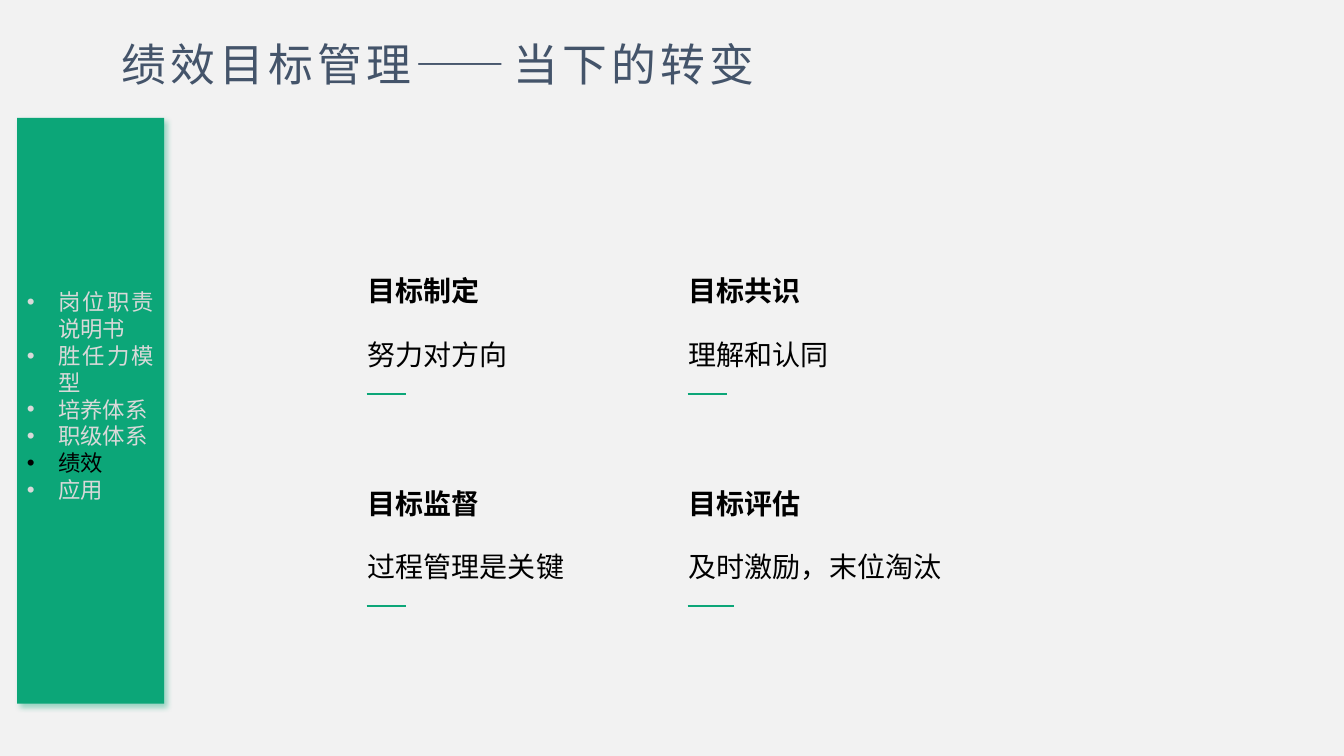
from lxml.etree import SubElement
from pptx import Presentation
from pptx.dml.color import RGBColor
from pptx.enum.shapes import MSO_CONNECTOR as Connector, MSO_SHAPE as Shape
from pptx.enum.text import MSO_ANCHOR as Anchor, PP_ALIGN as Align
from pptx.oxml.ns import qn
from pptx.util import Cm, Pt

FONT = "Noto Sans CJK SC"
GREEN, BLACK, GREY, SLATE = "0CA678", "000000", "D9D9D9", "44546A"
COLUMNS = (9.02, 17.11)
ROWS = (6.77, 12.13)

# heading, body, heading width, body width, rule length
CARDS = (
    ("目标制定", "努力对方向", 3.76, 5.46, 1.0),
    ("目标共识", "理解和认同", 5.28, 6.02, 1.0),
    ("目标监督", "过程管理是关键", 3.76, 6.02, 1.0),
    ("目标评估", "及时激励，末位淘汰", 6.99, 6.99, 1.17),
)
CHAPTERS = ("岗位职责说明书", "胜任力模型", "培养体系", "职级体系", "绩效", "应用")
CURRENT_CHAPTER = "绩效"


def rgb(value):
    return RGBColor.from_string(value)


def set_attributes(target, values):
    for name, value in values.items():
        setattr(target, name, value)


def add_text_frame(shapes, left, top, width, height):
    box = shapes.add_textbox(Cm(left), Cm(top), Cm(width), Cm(height))
    set_attributes(box.text_frame, {"word_wrap": True, "vertical_anchor": Anchor.TOP})
    return box.text_frame


def write(paragraph, text, color, font, layout=None, spacing=None):
    set_attributes(paragraph, layout or {})
    run = paragraph.add_run()
    run.text = text
    set_attributes(run.font, {"name": FONT, **font})
    run.font.color.rgb = rgb(color)
    properties = run._r.get_or_add_rPr()
    SubElement(properties, qn("a:ea"), typeface=FONT)
    if spacing:
        properties.set("spc", str(spacing * 100))


def add_bullet(paragraph, indent):
    properties = paragraph._p.get_or_add_pPr()
    properties.set("marL", str(Cm(indent)))
    properties.set("indent", str(-Cm(indent)))
    SubElement(properties, qn("a:buFont"), typeface="Arial")
    SubElement(properties, qn("a:buChar"), char="•")


def add_rule(shapes, left, top, length):
    rule = shapes.add_connector(
        Connector.STRAIGHT, Cm(left), Cm(top), Cm(left + length), Cm(top))
    rule.line.width = Pt(1.5)
    rule.line.color.rgb = rgb(GREEN)
    SubElement(rule._element.spPr, qn("a:effectLst"))


def add_card(slide, left, top, card):
    heading, body, heading_width, body_width, rule_length = card
    shapes = slide.shapes.add_group_shape().shapes
    frame = add_text_frame(shapes, left, top, heading_width, 1.12)
    write(frame.paragraphs[0], heading, BLACK, {"size": Pt(20), "bold": True})
    frame = add_text_frame(shapes, left, top + 1.43, body_width, 1.27)
    write(frame.paragraphs[0], body, BLACK, {"size": Pt(20)}, {"line_spacing": 1.2})
    add_rule(shapes, left + 0.22, top + 3.15, rule_length)


def add_panel(slide, left, top, width, height):
    panel = slide.shapes.add_shape(
        Shape.RECTANGLE, Cm(left), Cm(top), Cm(width), Cm(height))
    panel.fill.solid()
    panel.fill.fore_color.rgb = rgb(GREEN)
    panel.line.fill.background()
    # Soft green shadow to the lower right
    effects = SubElement(panel._element.spPr, qn("a:effectLst"))
    shadow = SubElement(effects, qn("a:outerShdw"), blurRad=str(Pt(4)),
                        dist=str(Pt(3)), dir="2700000", algn="tl", rotWithShape="0")
    color = SubElement(shadow, qn("a:srgbClr"), val=GREEN)
    SubElement(color, qn("a:alpha"), val="40000")


def add_chapters(slide, left, top, width, height):
    frame = add_text_frame(slide.shapes, left, top, width, height)
    for index, chapter in enumerate(CHAPTERS):
        paragraph = frame.add_paragraph() if index else frame.paragraphs[0]
        add_bullet(paragraph, 0.79)
        color = BLACK if chapter == CURRENT_CHAPTER else GREY
        write(paragraph, chapter, color, {"size": Pt(16)}, {"alignment": Align.JUSTIFY})


def main():
    presentation = Presentation()
    set_attributes(presentation, {"slide_width": Cm(33.87), "slide_height": Cm(19.05)})
    slide = presentation.slides.add_slide(presentation.slide_layouts[6])
    slide.background.fill.solid()
    slide.background.fill.fore_color.rgb = rgb("F2F2F2")

    # Title
    title = add_text_frame(slide.shapes, 0.53, 0.79, 21.01, 1.63)
    write(title.paragraphs[0], "绩效目标管理——当下的转变", SLATE,
          {"size": Pt(32)}, {"alignment": Align.CENTER}, spacing=3)

    # Grid of goal cards
    for index, card in enumerate(CARDS):
        row, column = divmod(index, len(COLUMNS))
        add_card(slide, COLUMNS[column], ROWS[row], card)

    # Chapter sidebar
    add_panel(slide, 0.43, 2.97, 3.71, 14.76)
    add_chapters(slide, 0.43, 7.14, 3.71, 5.74)

    presentation.save("out.pptx")


if __name__ == "__main__":
    main()
